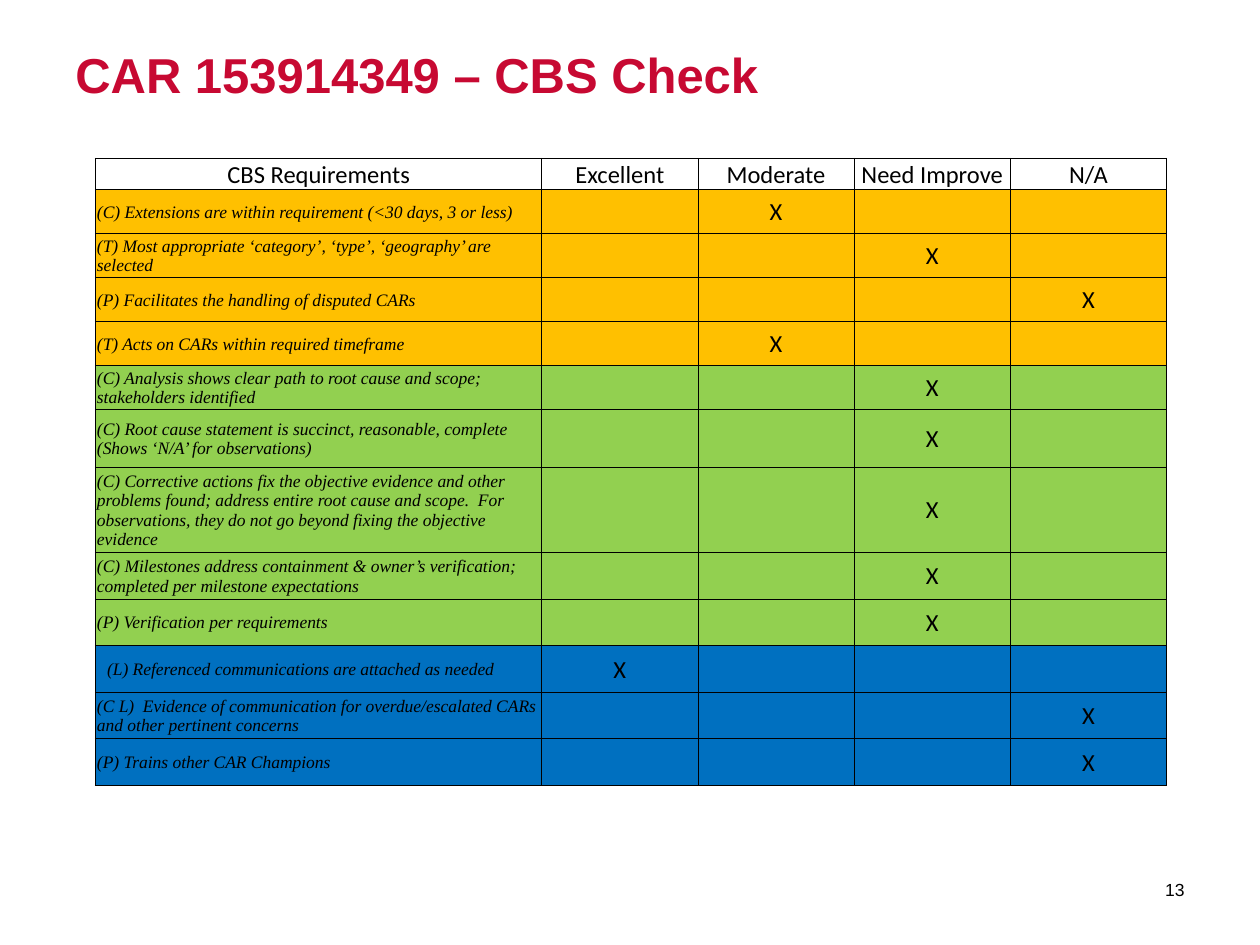
from lxml import etree
from pptx import Presentation
from pptx import util as u
from pptx.dml.color import RGBColor
from pptx.enum import text
from pptx.oxml import ns

BLACK, RED = "000000", "C70932"
AMBER, GREEN, BLUE = "FFC000", "92D050", "0070C0"
RATINGS = ["Excellent", "Moderate", "Need Improve", "N/A"]
COL_WIDTHS = [3.54] + [1.24] * len(RATINGS)
HEADER_HEIGHT = 0.21

# Row height, fill, requirement, rating
CHECKS = [
    (0.35, AMBER, "(C) Extensions are within requirement (<30 days, 3 or less)", "Moderate"),
    (0.35, AMBER, "(T) Most appropriate ‘category’, ‘type’, ‘geography’ are selected", "Need Improve"),
    (0.35, AMBER, "(P) Facilitates the handling of disputed CARs", "N/A"),
    (0.35, AMBER, "(T) Acts on CARs within required timeframe", "Moderate"),
    (0.33, GREEN, "(C) Analysis shows clear path to root cause and scope; "
                  "stakeholders identified", "Need Improve"),
    (0.46, GREEN, "(C) Root cause statement is succinct, reasonable, complete "
                  "(Shows ‘N/A’ for observations)", "Need Improve"),
    (0.5, GREEN, "(C) Corrective actions fix the objective evidence and other problems found; "
                 "address entire root cause and scope.  For observations, they do not go "
                 "beyond fixing the objective evidence", "Need Improve"),
    (0.37, GREEN, "(C) Milestones address containment & owner’s verification; "
                  "completed per milestone expectations", "Need Improve"),
    (0.37, GREEN, "(P) Verification per requirements", "Need Improve"),
    (0.37, BLUE, "(L) Referenced communications are attached as needed", "Excellent"),
    (0.37, BLUE, "(C L)  Evidence of communication for overdue/escalated CARs "
                 "and other pertinent concerns", "N/A"),
    (0.37, BLUE, "(P) Trains other CAR Champions", "N/A"),
]


def rgb(value):
    return RGBColor.from_string(value)


class Deck:
    def __init__(self):
        self.prs = Presentation()
        self.prs.slide_width, self.prs.slide_height = u.Inches(10), u.Inches(7.5)
        self.s = self.prs.slides.add_slide(self.prs.slide_layouts[6])

    def set_text(self, tf, words, size, font, color=BLACK, bold=False, italic=False,
                 align=text.PP_ALIGN.LEFT):
        tf.text = words
        p = tf.paragraphs[0]
        p.alignment = align
        for r in p.runs:
            r.font.size, r.font.name = u.Pt(size), font
            r.font.bold, r.font.italic = bold, italic
            r.font.color.rgb = rgb(color)

    def label(self, words, left, top, width, height, anchor=text.MSO_ANCHOR.TOP, **style):
        sp = self.s.shapes.add_textbox(*map(u.Inches, (left, top, width, height)))
        tf = sp.text_frame
        tf.word_wrap = True
        tf.vertical_anchor = anchor
        self.set_text(tf, words, **style)

    def table(self, left, top, width, height, col_widths, row_heights):
        frame = self.s.shapes.add_table(len(row_heights), len(col_widths),
                                        *map(u.Inches, (left, top, width, height)))
        tbl = frame.table
        tbl.first_row = tbl.horz_banding = False
        for col, w in zip(tbl.columns, col_widths):
            col.width = u.Inches(w)
        for row, h in zip(tbl.rows, row_heights):
            row.height = u.Inches(h)
        frame.height = u.Inches(height)
        return tbl

    def cell(self, cell, words, fill=None, indent=0.01, anchor=text.MSO_ANCHOR.MIDDLE, **style):
        cell.margin_left = u.Inches(indent)
        cell.margin_right = cell.margin_top = u.Inches(0.01)
        cell.margin_bottom = 0
        cell.vertical_anchor = anchor
        if fill:
            cell.fill.solid()
            cell.fill.fore_color.rgb = rgb(fill)
        else:
            cell.fill.background()
        self.set_text(cell.text_frame, words, **style)

    def grid(self, tbl):
        """Rule every cell thinly, with a heavier line round the table."""
        last_row, last_col = len(tbl.rows) - 1, len(tbl.columns) - 1
        for i, row in enumerate(tbl.rows):
            for j, cell in enumerate(row.cells):
                outer = {"L": j == 0, "R": j == last_col, "T": i == 0, "B": i == last_row}
                tc_pr = cell._tc.get_or_add_tcPr()
                for n, (side, heavy) in enumerate(outer.items()):
                    ln = etree.Element(ns.qn(f"a:ln{side}"), w=str(u.Pt(1 if heavy else 0.5)))
                    solid = etree.SubElement(ln, ns.qn("a:solidFill"))
                    etree.SubElement(solid, ns.qn("a:srgbClr"), val=BLACK)
                    tc_pr.insert(n, ln)


def main():
    deck = Deck()
    deck.label("CAR 153914349 – CBS Check", 0.5, 0.3, 9, 1.25,
               size=28, font="Arial", color=RED, bold=True)
    deck.label("13", 8.8, 6.86, 0.7, 0.4, anchor=text.MSO_ANCHOR.MIDDLE,
               size=10, font="Arial", align=text.PP_ALIGN.RIGHT)

    heights = [HEADER_HEIGHT] + [check[0] for check in CHECKS]
    tbl = deck.table(0.76, 1.26, 8.49, 4.98, COL_WIDTHS, heights)
    centred = dict(size=14, font="Calibri", align=text.PP_ALIGN.CENTER)
    for j, heading in enumerate(["CBS Requirements"] + RATINGS):
        deck.cell(tbl.cell(0, j), heading, anchor=text.MSO_ANCHOR.BOTTOM, **centred)
    for i, (_, fill, requirement, rating) in enumerate(CHECKS, 1):
        deck.cell(tbl.cell(i, 0), requirement, fill,
                  indent=0.09 if requirement.startswith("(L)") else 0.01,
                  size=10, font="Times New Roman", italic=True)
        for j, name in enumerate(RATINGS, 1):
            deck.cell(tbl.cell(i, j), "X" if name == rating else "", fill, **centred)
    deck.grid(tbl)
    deck.prs.save("out.pptx")


if __name__ == "__main__":
    main()
